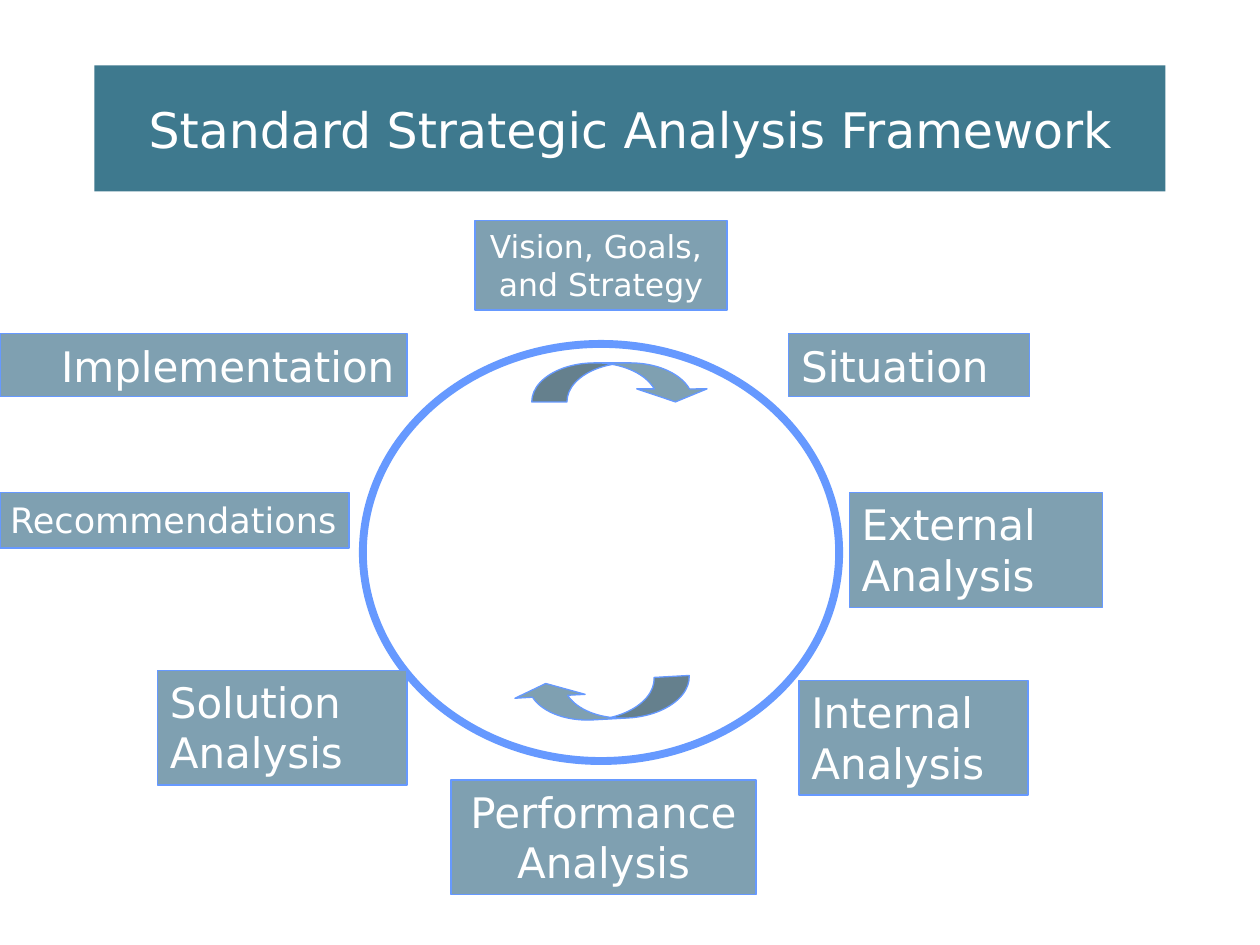
from pptx import Presentation
from pptx.dml.color import RGBColor
from pptx.enum.shapes import MSO_SHAPE
from pptx.enum.text import MSO_ANCHOR, PP_ALIGN
from pptx.util import Inches, Pt

FONT = "DejaVu Sans"
TEAL = RGBColor(0x3E, 0x79, 0x8E)
STEEL = RGBColor(0x7F, 0xA0, 0xB1)
BLUE = RGBColor(0x66, 0x99, 0xFF)
WHITE = RGBColor(0xFF, 0xFF, 0xFF)
LEFT, CENTER, RIGHT = PP_ALIGN.LEFT, PP_ALIGN.CENTER, PP_ALIGN.RIGHT

# text, box (left, top, width, height), size, alignment
STEPS = [
    ("Situation", (6.26, 2.65, 1.91, 0.5), 24, LEFT),
    ("External\nAnalysis", (6.74, 3.91, 2.01, 0.91), 24, LEFT),
    ("Internal\nAnalysis", (6.34, 5.4, 1.82, 0.91), 24, LEFT),
    ("Performance\nAnalysis", (3.58, 6.19, 2.42, 0.91), 24, CENTER),
    ("Solution\nAnalysis", (1.25, 5.32, 1.98, 0.91), 24, LEFT),
    ("Recommendations", (0, 3.91, 2.77, 0.44), 20, RIGHT),
    ("Implementation", (0, 2.65, 3.23, 0.5), 24, RIGHT),
    ("Vision, Goals, \nand Strategy", (3.77, 1.75, 2, 0.71), 18, CENTER),
]


def add_shape(slide, kind, box, fill=None, line=None, weight=0.75):
    sp = slide.shapes.add_shape(kind, *map(Inches, box))
    sp.shadow.inherit = False
    for part, color in ((sp.fill, fill), (sp.line.fill, line)):
        if color is None:
            part.background()
        else:
            part.solid()
            part.fore_color.rgb = color
    if line is not None:
        sp.line.width = Pt(weight)
    return sp


def write(sp, text, size, align, anchor):
    tf = sp.text_frame
    tf.word_wrap = True
    tf.vertical_anchor = anchor
    # Narrow side margin keeps the longest label on one line
    if align == RIGHT:
        tf.margin_left = Inches(0.02)
    tf.text = text
    for p in tf.paragraphs:
        p.alignment = align
        for r in p.runs:
            r.font.name = FONT
            r.font.size = Pt(size)
            r.font.color.rgb = WHITE


def add_title(slide, box):
    sp = add_shape(slide, MSO_SHAPE.RECTANGLE, box, TEAL)
    write(sp, "Standard Strategic Analysis Framework", 28, CENTER,
          MSO_ANCHOR.MIDDLE)


def add_step(slide, text, box, size, align):
    sp = add_shape(slide, MSO_SHAPE.RECTANGLE, box, STEEL, BLUE)
    write(sp, text, size, align, MSO_ANCHOR.TOP)


def add_turn_arrow(slide, box, rotation):
    sp = add_shape(slide, MSO_SHAPE.CURVED_DOWN_ARROW, box, STEEL, BLUE)
    for i, value in enumerate((0.902, 1.803, 0.333)):
        sp.adjustments[i] = value
    sp.rotation = rotation


def add_cycle(slide, box):
    """Ring with one turning arrow inside its top and one inside its bottom."""
    left, top, _, _ = box
    add_shape(slide, MSO_SHAPE.OVAL, box, line=BLUE, weight=4.5)
    for dx, dy, rotation in ((1.34, 0.15, 0), (1.18, 2.67, 176.8)):
        add_turn_arrow(slide, (left + dx, top + dy, 1.42, 0.31), rotation)


def main():
    prs = Presentation()
    prs.slide_width, prs.slide_height = Inches(10), Inches(7.5)
    s = prs.slides.add_slide(prs.slide_layouts[6])
    add_title(s, (0.75, 0.52, 8.5, 1))
    add_cycle(s, (2.88, 2.73, 3.78, 3.31))
    for step in STEPS:
        add_step(s, *step)
    prs.save("out.pptx")


if __name__ == "__main__":
    main()
